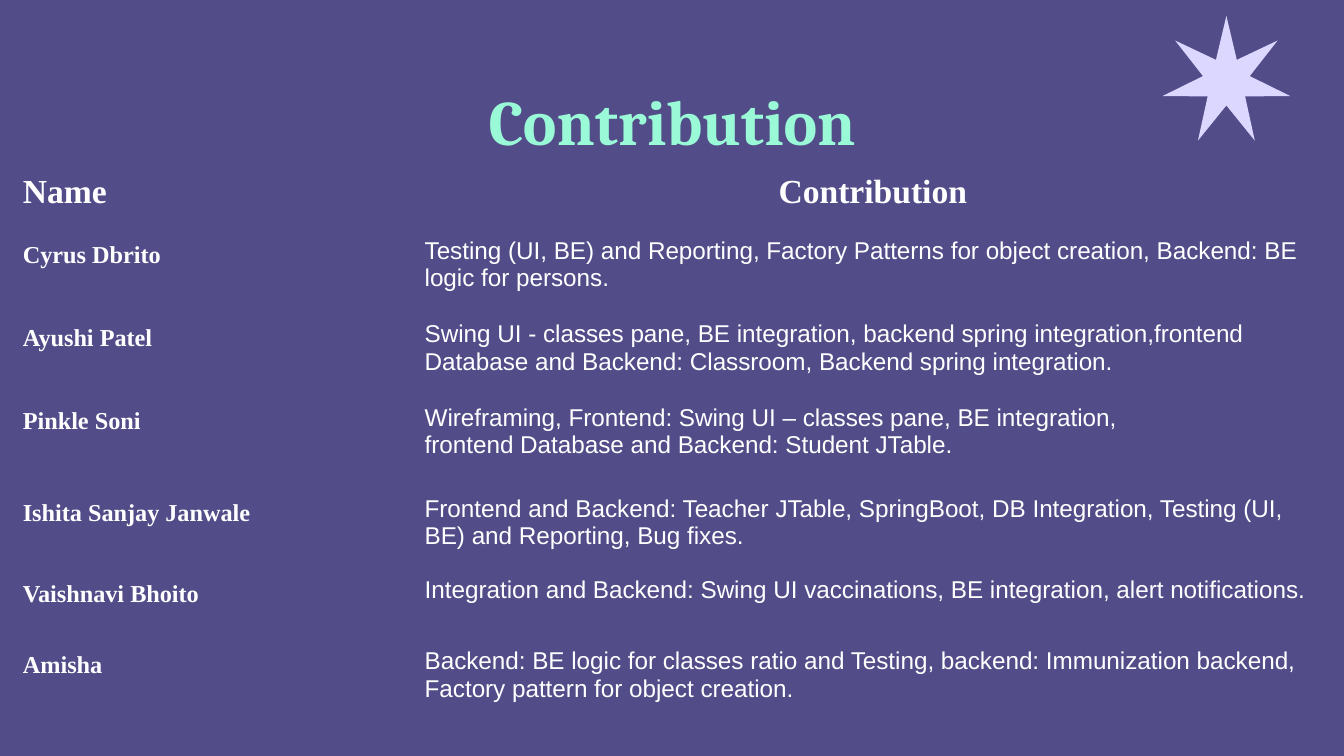
from pptx import Presentation
from pptx.dml.color import RGBColor
from pptx.enum.shapes import MSO_SHAPE
from pptx.enum.text import MSO_ANCHOR, MSO_AUTO_SIZE, PP_ALIGN
from pptx.oxml.ns import qn
from pptx.util import Inches, Pt

STAR = MSO_SHAPE.STAR_7_POINT
LEFT, CENTER = PP_ALIGN.LEFT, PP_ALIGN.CENTER
TOP, MIDDLE = MSO_ANCHOR.TOP, MSO_ANCHOR.MIDDLE

WIDTH = 10
HEIGHT = WIDTH * 9 / 16
COLORS = {"background": "524D89", "star": "DCD7FF", "title": "9AFAD7", "text": "FFFFFF"}
INSET = Inches(0.1)
PLAIN_TABLE = "{2D5ABB26-0587-4C30-8999-92F81FD0307C}"  # no style, no grid

COLUMN_WIDTHS = (2.99, 6.87)
HEADER = ("Name", "Contribution")
HEADER_HEIGHT = 0.5
# Member, contribution, row height in inches
MEMBERS = [
    ("Cyrus Dbrito", "Testing (UI, BE) and Reporting, Factory Patterns for object creation, "
     "Backend: BE logic for persons.", 0.62),
    ("Ayushi Patel", "Swing UI - classes pane, BE integration, backend spring integration,frontend "
     "Database and Backend: Classroom, Backend spring integration.", 0.62),
    ("Pinkle Soni", "Wireframing, Frontend: Swing UI – classes pane, BE integration,\n"
     "frontend Database and Backend: Student JTable.", 0.68),
    ("Ishita Sanjay Janwale", "Frontend and Backend: Teacher JTable, SpringBoot, DB Integration, "
     "Testing (UI, BE) and Reporting, Bug fixes.", 0.52),
    ("Vaishnavi Bhoito", "Integration and Backend: Swing UI vaccinations, BE integration, "
     "alert notifications.", 0.53),
    ("Amisha", "Backend: BE logic for classes ratio and Testing, backend: Immunization backend, "
     "Factory pattern for object creation.", 0.61),
]


def color(key):
    return RGBColor.from_string(COLORS[key])


def share_box(left, top, width, height):
    """Turn percentages of the slide's size into lengths."""
    return (Inches(left * WIDTH / 100), Inches(top * HEIGHT / 100),
            Inches(width * WIDTH / 100), Inches(height * HEIGHT / 100))


def write(frame, text, font="Arial", size=13, bold=False, ink="text", align=LEFT, spacing=1.0):
    frame.text = text
    for paragraph in frame.paragraphs:
        paragraph.alignment = align
        paragraph.line_spacing = spacing
        for run in paragraph.runs:
            run.font.name, run.font.size, run.font.bold = font, Pt(size), bold
            run.font.color.rgb = color(ink)


def add_star(slide, box):
    star = slide.shapes.add_shape(STAR, *box)
    star.adjustments[0] = 0.183
    star.shadow.inherit = False
    star.fill.solid()
    star.fill.fore_color.rgb = color("star")
    star.line.fill.background()


def place_title(slide, box):
    title = slide.shapes.title
    title.left, title.top, title.width, title.height = box
    frame = title.text_frame
    frame.word_wrap = True
    frame.auto_size = MSO_AUTO_SIZE.NONE
    frame.vertical_anchor = MIDDLE
    frame.margin_left = frame.margin_right = frame.margin_top = frame.margin_bottom = INSET
    write(frame, "Contribution", font="Cambria", size=34, bold=True, ink="title", align=CENTER)


def add_contributions(slide, box):
    table = slide.shapes.add_table(len(MEMBERS) + 1, len(HEADER), *box).table
    table.first_row = table.horz_banding = False
    table._tbl.tblPr.find(qn("a:tableStyleId")).text = PLAIN_TABLE

    # Column widths and row heights
    for column, width in zip(table.columns, COLUMN_WIDTHS):
        column.width = int(box[2] * width / sum(COLUMN_WIDTHS))
    heights = [HEADER_HEIGHT] + [height for *_, height in MEMBERS]
    for row, height in zip(table.rows, heights):
        row.height = Inches(height)

    for cell in table.iter_cells():
        cell.fill.background()
        cell.vertical_anchor = TOP
        cell.margin_left = cell.margin_right = cell.margin_top = cell.margin_bottom = INSET

    # Header row, then one row for each member
    label = {"font": "Times New Roman", "bold": True, "spacing": 1.15}
    for column, (heading, align) in enumerate(zip(HEADER, (LEFT, CENTER))):
        write(table.cell(0, column).text_frame, heading, size=18, align=align, **label)
    for row, (member, contribution, _) in enumerate(MEMBERS, start=1):
        write(table.cell(row, 0).text_frame, member, **label)
        write(table.cell(row, 1).text_frame, contribution)


def main():
    deck = Presentation()
    deck.slide_width, deck.slide_height = Inches(WIDTH), Inches(HEIGHT)
    slide = deck.slides.add_slide(deck.slide_layouts[5])
    slide.background.fill.solid()
    slide.background.fill.fore_color.rgb = color("background")

    add_star(slide, share_box(86.5, 2.1, 9.5, 16.5))
    place_title(slide, share_box(8.75, 12.3, 82.5, 7.3))
    add_contributions(slide, share_box(0.7, 20.45, 98.6, 72.5))
    deck.save("out.pptx")


if __name__ == "__main__":
    main()
